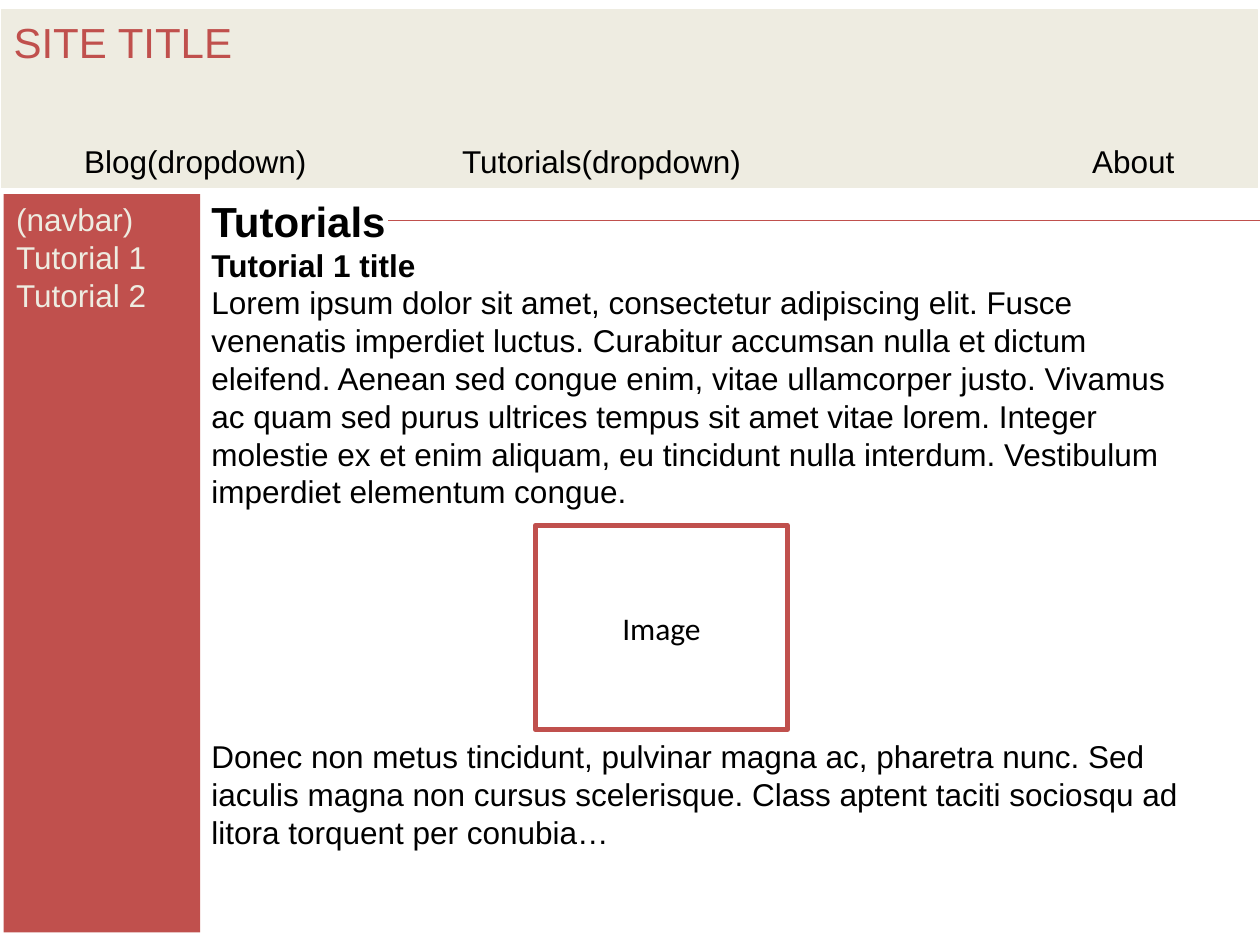
import pptx
import pptx.dml.color
import pptx.enum.shapes
import pptx.enum.text
import pptx.util
from lxml import etree
from pptx.util import Inches, Pt

RED, CREAM, BLACK, WHITE = "C0504D", "EEECE1", "000000", "FFFFFF"
DRAWING = "{http://schemas.openxmlformats.org/drawingml/2006/main}"
LEADING = 1.2
TOP = pptx.enum.text.MSO_ANCHOR.TOP
MIDDLE = pptx.enum.text.MSO_ANCHOR.MIDDLE
LEFT = pptx.enum.text.PP_ALIGN.LEFT
CENTER = pptx.enum.text.PP_ALIGN.CENTER

OPENING = (
    "Lorem ipsum dolor sit amet, consectetur adipiscing elit. Fusce venenatis "
    "imperdiet luctus. Curabitur accumsan nulla et dictum eleifend. Aenean sed "
    "congue enim, vitae ullamcorper justo. Vivamus ac quam sed purus ultrices "
    "tempus sit amet vitae lorem. Integer molestie ex et enim aliquam, eu "
    "tincidunt nulla interdum. Vestibulum imperdiet elementum congue."
)
CLOSING = (
    "Donec non metus tincidunt, pulvinar magna ac, pharetra nunc. Sed iaculis "
    "magna non cursus scelerisque. Class aptent taciti sociosqu ad litora "
    "torquent per conubia…"
)


def rgb(value):
    """Turn a hex string into a colour."""
    return pptx.dml.color.RGBColor.from_string(value)


def add_panel(slide, left, top, width, height, fill=None, line=None,
              weight=0.75, anchor=TOP):
    """Add a rectangular page region and return its text frame."""
    panel = slide.shapes.add_shape(
        pptx.enum.shapes.MSO_SHAPE.RECTANGLE,
        Inches(left), Inches(top), Inches(width), Inches(height))
    panel.shadow.inherit = False
    if fill:
        panel.fill.solid()
        panel.fill.fore_color.rgb = rgb(fill)
    else:
        panel.fill.background()
    if line:
        panel.line.color.rgb = rgb(line)
        panel.line.width = Pt(weight)
    else:
        panel.line.fill.background()
    panel.text_frame.word_wrap = True
    panel.text_frame.vertical_anchor = anchor
    return panel.text_frame


def add_text(frame, text, color=BLACK, size=18, bold=False, font="Arial",
             align=LEFT, before=0):
    """Write one paragraph, reusing the frame's first one while it is empty."""
    first = frame.paragraphs[0]
    paragraph = frame.add_paragraph() if first.runs else first
    paragraph.alignment = align
    paragraph.line_spacing = Pt(size * LEADING)
    paragraph.space_before = Pt(before)
    run = paragraph.add_run()
    run.text = text
    run.font.name = font
    run.font.size = Pt(size)
    run.font.bold = bold
    run.font.color.rgb = rgb(color)
    return paragraph


def set_tabs(paragraph, stops):
    """Give a paragraph left tab stops, in inches."""
    tabs = etree.SubElement(paragraph._p.get_or_add_pPr(), DRAWING + "tabLst")
    for stop in stops:
        etree.SubElement(tabs, DRAWING + "tab", pos=str(Inches(stop)), algn="l")


def add_rule(slide, left, right, y):
    """Draw a thin horizontal rule."""
    rule = slide.shapes.add_connector(
        pptx.enum.shapes.MSO_CONNECTOR.STRAIGHT,
        Inches(left), Inches(y), Inches(right), Inches(y))
    rule.line.color.rgb = rgb(RED)
    rule.line.width = Pt(0.75)
    etree.SubElement(rule._element.spPr, DRAWING + "effectLst")


def add_article(slide):
    """Add the tutorial text, leaving six lines free for the image."""
    article = add_panel(slide, 1.58, 1.5, 7.99, 6, WHITE, WHITE, 2)
    add_text(article, "Tutorials", size=24, bold=True)
    add_text(article, "Tutorial 1 title", bold=True)
    add_text(article, OPENING)
    add_text(article, CLOSING, before=6 * 18 * LEADING)


def add_header(slide):
    """Add the site title and the menu beneath it."""
    header = add_panel(slide, 0.01, 0.08, 9.97, 1.41, CREAM, CREAM)
    add_text(header, "SITE TITLE", RED, size=24)
    menu = add_text(header, "\tBlog(dropdown)\tTutorials(dropdown)\tAbout",
                    before=2 * 18 * LEADING)
    set_tabs(menu, (0.56, 3.56, 8.56))


def main():
    """Build the page layout slide."""
    deck = pptx.Presentation()
    deck.slide_width, deck.slide_height = Inches(10), Inches(7.5)
    slide = deck.slides.add_slide(deck.slide_layouts[6])

    add_article(slide)
    add_header(slide)
    image_area = add_panel(slide, 4.25, 4.17, 2, 1.62, line=RED, weight=3,
                           anchor=MIDDLE)
    add_text(image_area, "Image", font="Calibri", align=CENTER)
    add_rule(slide, 3.08, 10, 1.75)
    navbar = add_panel(slide, 0.03, 1.54, 1.56, 5.86, RED)
    for entry in ("(navbar)", "Tutorial 1", "Tutorial 2"):
        add_text(navbar, entry, CREAM)

    deck.save("out.pptx")


main()
